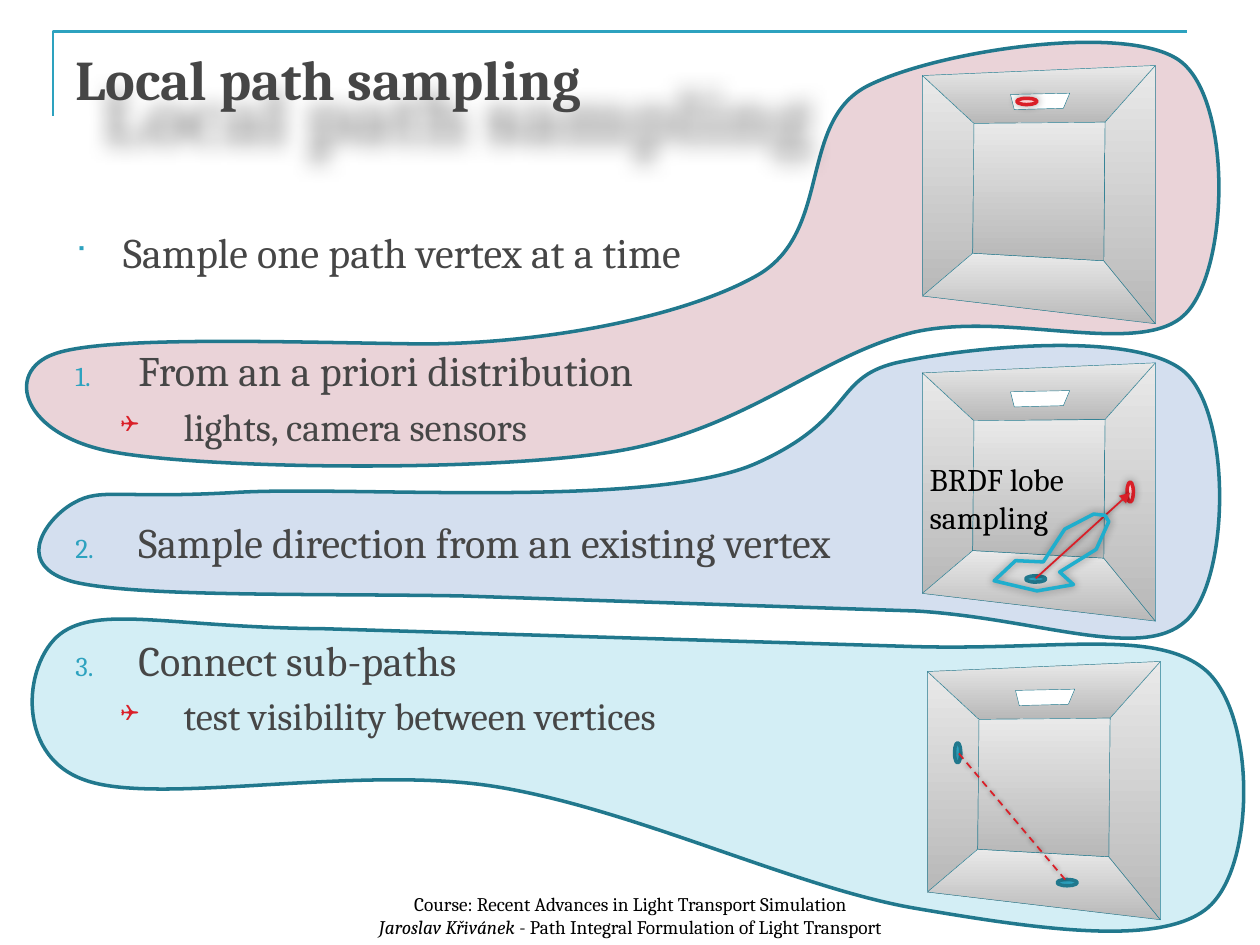
from pptx import Presentation
from pptx.dml.color import RGBColor
from pptx.enum.dml import MSO_LINE_DASH_STYLE as Dash
from pptx.enum.shapes import MSO_CONNECTOR as Connector, MSO_SHAPE as Shape
from pptx.enum.text import MSO_ANCHOR as Anchor, MSO_AUTO_SIZE as AutoSize, PP_ALIGN as Align
from pptx.oxml import parse_xml
from pptx.oxml.ns import nsdecls
from pptx.util import Inches, Pt

FONT = "Cambria"
COLORS = {
    "text": "464646", "black": "000000", "white": "FFFFFF", "accent": "2DA2BF",
    "outline": "21788D", "edge": "227A8F", "red": "DA1F28", "light_red": "F9D1D3",
    "lobe": "1FAECD", "pink": "EAD3D8", "blue": "D4DFEF", "cyan": "D3EEF5",
    "wall_dark": "B8B8B8", "wall_light": "E9E9E9",
}

CONNECT_BLOB = [
    (7.27, 7.21), (8.21, 7.37, 9.2, 7.52, 9.58, 7.21), (9.97, 6.89, 9.97, 5.67, 9.57, 5.32),
    (9.17, 4.98, 8.37, 5.17, 7.19, 5.13), (2.57, 4.99), (1.39, 4.98, 0.83, 4.81, 0.51, 5.01),
    (0.19, 5.21, 0.1, 5.99, 0.67, 6.19), (1.24, 6.4, 2.81, 6.07, 3.91, 6.24),
    (5.01, 6.41, 6.32, 7.05, 7.27, 7.21),
]
DIRECTION_BLOB = [
    (0.59, 4.62), (1.1, 4.74, 2.49, 4.71, 3.66, 4.73), (7.28, 4.85),
    (8.24, 4.91, 9.06, 5.25, 9.41, 4.93), (9.76, 4.62, 9.78, 3.31, 9.41, 2.96),
    (9.04, 2.62, 7.73, 2.75, 7.16, 2.87), (6.6, 2.98, 6.81, 3.31, 6.02, 3.67),
    (5.2, 4.05, 2.76, 3.85, 1.85, 3.91), (0.94, 3.96, 0.8, 3.87, 0.59, 3.99),
    (0.38, 4.1, 0.08, 4.49, 0.59, 4.62),
]
PRIOR_BLOB = [
    (3.35, 2.73), (2.38, 2.72, 0.84, 2.66, 0.43, 2.81), (0.03, 2.95, 0.17, 3.46, 0.91, 3.59),
    (1.64, 3.72, 3.79, 3.75, 4.84, 3.59), (5.9, 3.43, 6.48, 2.83, 7.24, 2.64),
    (8, 2.46, 9.06, 2.85, 9.41, 2.49), (9.76, 2.13, 9.78, 0.78, 9.36, 0.48),
    (8.94, 0.18, 7.45, 0.4, 6.89, 0.68), (6.33, 0.96, 6.61, 1.83, 6.02, 2.18),
    (5.43, 2.52, 4.3, 2.73, 3.35, 2.73),
]
LOBE = [
    (8.52, 4.64), (8.41, 4.54), (8.7, 4.36), (8.8, 4.14), (8.77, 4.09), (8.68, 4.08),
    (8.45, 4.2), (8.28, 4.46), (8.06, 4.45), (7.89, 4.61), (8.23, 4.69),
]
FRONT = [(7.32, 0.6), (9.17, 0.52), (9.17, 2.57), (7.32, 2.35)]
BACK = [(7.73, 0.98), (8.77, 0.97), (8.76, 2.07), (7.72, 2.01)]
LAMP = [(8.44, 0.86), (8.49, 0.74), (8.02, 0.75), (8.05, 0.87)]

SQUARE = ("accent", 65, '<a:buFont typeface="Wingdings"/><a:buChar char="■"/>')
NUMBER = ("accent", 65, '<a:buFont typeface="+mj-lt"/><a:buAutoNum type="arabicPeriod"/>')
CHECKBOX = ("red", 60, '<a:buFont typeface="Wingdings"/><a:buChar char="❑"/>')


class SlideBuilder:
    def __init__(self, slide):
        self.slide = slide

    def color(self, name):
        return RGBColor.from_string(COLORS[name])

    def paint(self, shape, fill, line, width):
        if fill == "wall":
            shape.fill.gradient()
            shape.fill.gradient_angle = 90
            for stop, name in zip(shape.fill.gradient_stops, ("wall_dark", "wall_light")):
                stop.color.rgb = self.color(name)
        elif fill:
            shape.fill.solid()
            shape.fill.fore_color.rgb = self.color(fill)
        else:
            shape.fill.background()
        shape.line.color.rgb = self.color(line)
        shape.line.width = Pt(width)

    def effects(self, shape, blur=0, alpha=40, extra=""):
        shadow = "" if not blur else (
            f'<a:outerShdw blurRad="{Pt(blur)}" {extra} rotWithShape="0">'
            f'<a:srgbClr val="000000"><a:alpha val="{alpha * 1000}"/></a:srgbClr></a:outerShdw>')
        shape._element.spPr.append(
            parse_xml(f'<a:effectLst {nsdecls("a")}>{shadow}</a:effectLst>'))

    def outline(self, segments, fill, line, width, close=True, blur=0, parent=None):
        shapes = (parent or self.slide).shapes
        points = [(Inches(s[i]), Inches(s[i + 1])) for s in segments for i in range(0, len(s), 2)]
        builder = shapes.build_freeform(*points[0])
        builder.add_line_segments(points[1:], close=close)
        shape = builder.convert_to_shape()
        nodes = iter(shape._element.xpath(".//a:lnTo"))
        for segment in segments[1:]:
            node = next(nodes)
            if len(segment) == 6:
                curve = parse_xml(f'<a:cubicBezTo {nsdecls("a")}/>')
                node.addprevious(curve)
                for control in (node, next(nodes), next(nodes)):
                    curve.append(control[0])
                    control.getparent().remove(control)
        self.paint(shape, fill, line, width)
        self.effects(shape, blur)
        return shape

    def room(self, dx, dy):
        group = self.slide.shapes.add_group_shape()
        sides = [[FRONT[i], FRONT[(i + 1) % 4], BACK[(i + 1) % 4], BACK[i]] for i in (0, 3, 2, 1)]
        for points, fill in [(side, "wall") for side in sides + [BACK]] + [(LAMP, "white")]:
            moved = [(x + dx, y + dy) for x, y in points]
            self.outline(moved, fill, "edge", 0.25, parent=group)
        return group

    def vertex(self, left, top, fill, line, rotation=0, blur=0, parent=None):
        shape = (parent or self.slide).shapes.add_shape(
            Shape.OVAL, Inches(left), Inches(top), Inches(0.16), Inches(0.05))
        shape.rotation = rotation
        self.paint(shape, fill, line, 2)
        self.effects(shape, blur)

    def ray(self, start, end, dash=None, arrow=False):
        connector = self.slide.shapes.add_connector(
            Connector.STRAIGHT, *(Inches(value) for value in start + end))
        connector.line.color.rgb = self.color("red")
        connector.line.width = Pt(1)
        if dash:
            connector.line.dash_style = dash
        if arrow:
            connector.line._get_or_add_ln().append(
                parse_xml(f'<a:headEnd {nsdecls("a")} type="triangle"/>'))
        self.effects(connector, 3, 50)

    def text_box(self, left, top, width, height, wrap=True, anchor=Anchor.TOP):
        shape = self.slide.shapes.add_textbox(
            Inches(left), Inches(top), Inches(width), Inches(height))
        shape.text_frame.word_wrap = wrap
        shape.text_frame.vertical_anchor = anchor
        return shape

    def run(self, paragraph, text, size, color, bold=None, italic=None):
        run = paragraph.add_run()
        run.text = text
        font = run.font
        font.name, font.size, font.bold, font.italic = FONT, Pt(size), bold, italic
        font.color.rgb = self.color(color)

    def bullet(self, paragraph, kind, margin, indent):
        color, size, marker = kind
        properties = paragraph._p.get_or_add_pPr()
        properties.set("marL", str(Inches(margin)))
        properties.set("indent", str(-Inches(indent)))
        holder = parse_xml(
            f'<a:pPr {nsdecls("a")}><a:buClr><a:srgbClr val="{COLORS[color]}"/></a:buClr>'
            f'<a:buSzPct val="{size * 1000}"/>{marker}</a:pPr>')
        for element in list(holder):
            properties.append(element)

    def bullet_list(self, frame, items):
        for index, (text, kind, level, margin, indent, size, space) in enumerate(items):
            paragraph = frame.add_paragraph() if index else frame.paragraphs[0]
            paragraph.level = level
            self.bullet(paragraph, kind, margin, indent)
            paragraph.space_before = Pt(space)
            self.run(paragraph, text, size, "text")


def main():
    presentation = Presentation()
    presentation.slide_width, presentation.slide_height = Inches(10), Inches(7.5)
    builder = SlideBuilder(presentation.slides.add_slide(presentation.slide_layouts[6]))

    builder.outline([(0.42, 0.92), (0.42, 0.25), (9.42, 0.25)], None, "accent", 1.5, close=False)
    for blob, fill in ((CONNECT_BLOB, "cyan"), (DIRECTION_BLOB, "blue"), (PRIOR_BLOB, "pink")):
        builder.outline(blob, fill, "outline", 2)

    title = builder.text_box(0.5, 0.3, 9, 1.25)
    builder.run(title.text_frame.paragraphs[0], "Local path sampling", 32, "text", bold=True)
    builder.effects(title, 12, 40, f'dist="{Inches(0.24)}" dir="2400000" sx="140000" sy="140000" algn="tl"')

    body = builder.text_box(0.5, 1.75, 9, 4.95)
    builder.bullet_list(body.text_frame, [
        ("Sample one path vertex at a time", SQUARE, 0, 0.38, 0.38, 24, 0),
        ("From an a priori distribution", NUMBER, 0, 0.5, 0.5, 24, 38.5),
        ("lights, camera sensors", CHECKBOX, 1, 0.86, 0.5, 22, 4.5),
        ("Sample direction from an existing vertex", NUMBER, 0, 0.5, 0.5, 24, 38.5),
        ("Connect sub-paths", NUMBER, 0, 0.5, 0.5, 24, 38.5),
        ("test visibility between vertices", CHECKBOX, 1, 0.86, 0.5, 22, 4.5),
    ])

    builder.room(0, 0)
    builder.vertex(8.07, 0.78, "light_red", "red", blur=5)

    direction_room = builder.room(0, 2.36)
    builder.vertex(8.14, 4.57, "accent", "outline", parent=direction_room)
    builder.vertex(8.89, 3.88, "light_red", "red", rotation=270, blur=5)
    builder.ray((8.97, 3.91), (8.22, 4.59), arrow=True)

    connect_room = builder.room(0.04, 4.73)
    builder.vertex(8.39, 6.98, "accent", "outline", parent=connect_room)
    builder.vertex(7.52, 5.95, "accent", "outline", rotation=90, parent=connect_room)
    builder.ray((7.61, 5.98), (8.47, 7), dash=Dash.DASH)

    footer = builder.text_box(1.54, 7, 6.93, 0.5, anchor=Anchor.BOTTOM).text_frame.paragraphs[0]
    footer.alignment = Align.CENTER
    builder.run(footer, "Course: Recent Advances in Light Transport Simulation", 11, "black")
    footer.add_line_break()
    builder.run(footer, "Jaroslav Křivánek ", 11, "black", italic=True)
    builder.run(footer, "- Path Integral Formulation of Light Transport", 11, "black")

    builder.outline(LOBE, None, "lobe", 2, blur=5)
    label = builder.text_box(7.28, 3.6, 1.42, 0.71, wrap=False).text_frame
    label.auto_size = AutoSize.SHAPE_TO_FIT_TEXT
    builder.run(label.paragraphs[0], "BRDF lobe", 18, "black")
    builder.run(label.add_paragraph(), "sampling", 18, "black")

    presentation.save("out.pptx")


if __name__ == "__main__":
    main()
